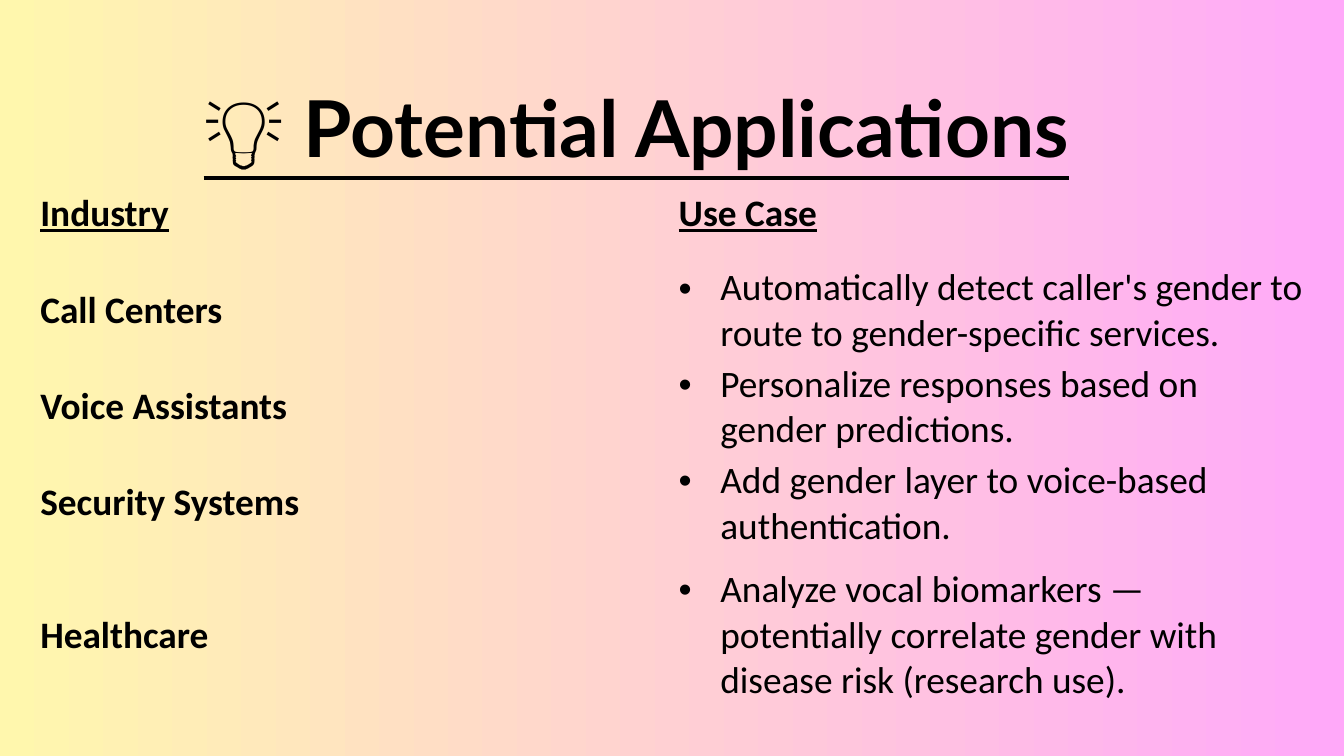
from lxml import etree
from pptx import Presentation
from pptx import util as u
from pptx.dml.color import RGBColor
from pptx.enum import text
from pptx.oxml.ns import qn

COLORS = {"start": "FFF7AD", "end": "FFA9F9", "ink": "000000"}
HEADERS = ("Industry", "Use Case")
APPLICATIONS = [
    ("Call Centers",
     "Automatically detect caller's gender to route to gender-specific services."),
    ("Voice Assistants", "Personalize responses based on gender predictions."),
    ("Security Systems", "Add gender layer to voice-based authentication."),
    ("Healthcare",
     "Analyze vocal biomarkers — potentially correlate gender with disease risk "
     "(research use)."),
]


def write(tf, words, size=40, font="Calibri", bold=True, underline=False,
          align=None, spacing=None, bullet=False):
    """Put one formatted paragraph into a text frame."""
    p = tf.paragraphs[0]
    p.alignment = align
    p.line_spacing = spacing
    if bullet:
        pPr = p._p.get_or_add_pPr()
        indent = u.Inches(0.62)
        pPr.set("marL", str(indent))
        pPr.set("indent", str(-indent))
        etree.SubElement(pPr, qn("a:buFont")).set("typeface", "Arial")
        etree.SubElement(pPr, qn("a:buChar")).set("char", "•")
    r = p.add_run()
    r.text = words
    r.font.size = u.Pt(size)
    r.font.name = font
    r.font.bold = bold
    r.font.underline = underline
    r.font.color.rgb = RGBColor.from_string(COLORS["ink"])


def paint_background(s):
    fill = s.background.fill
    fill.gradient()
    fill.gradient_angle = 0
    for stop, position, name in zip(fill.gradient_stops, (0, 1), ("start", "end")):
        stop.position = position
        stop.color.rgb = RGBColor.from_string(COLORS[name])


def add_title(s, x, y, w, h):
    tf = s.shapes.add_textbox(*map(u.Inches, (x, y, w, h))).text_frame
    tf.word_wrap = True
    tf.margin_left = tf.margin_top = tf.margin_right = tf.margin_bottom = 0
    write(tf, "💡 Potential Applications", size=84, font="Lato", underline=True,
          align=text.PP_ALIGN.CENTER, spacing=u.Pt(117.6))


def clear_cell(cell):
    """Remove the borders and fill of a cell."""
    tcPr = cell._tc.get_or_add_tcPr()
    for side in ("lnL", "lnR", "lnT", "lnB"):
        line = etree.SubElement(tcPr, qn(f"a:{side}"))
        etree.SubElement(line, qn("a:noFill"))
    cell.fill.background()


def add_applications(s, x, y, w, row_heights):
    rows = [HEADERS] + APPLICATIONS
    box = map(u.Inches, (x, y, w, sum(row_heights)))
    table = s.shapes.add_table(len(rows), len(HEADERS), *box).table
    table.first_row = table.horz_banding = False
    for i, (row, height) in enumerate(zip(rows, row_heights)):
        table.rows[i].height = u.Inches(height)
        for j, words in enumerate(row):
            cell = table.cell(i, j)
            clear_cell(cell)
            cell.vertical_anchor = text.MSO_ANCHOR.MIDDLE
            header, use_case = i == 0, i > 0 and j == 1
            write(cell.text_frame, words, bold=not use_case, underline=header,
                  bullet=use_case)


def main():
    prs = Presentation()
    prs.slide_width, prs.slide_height = u.Inches(20), u.Inches(11.25)
    s = prs.slides.add_slide(prs.slide_layouts[6])
    paint_background(s)
    add_title(s, 1.92, 0.95, 15.1, 1.57)
    add_applications(s, 0.5, 2.47, 19, [1.43] * 4 + [2.51])
    prs.save("out.pptx")


if __name__ == "__main__":
    main()
